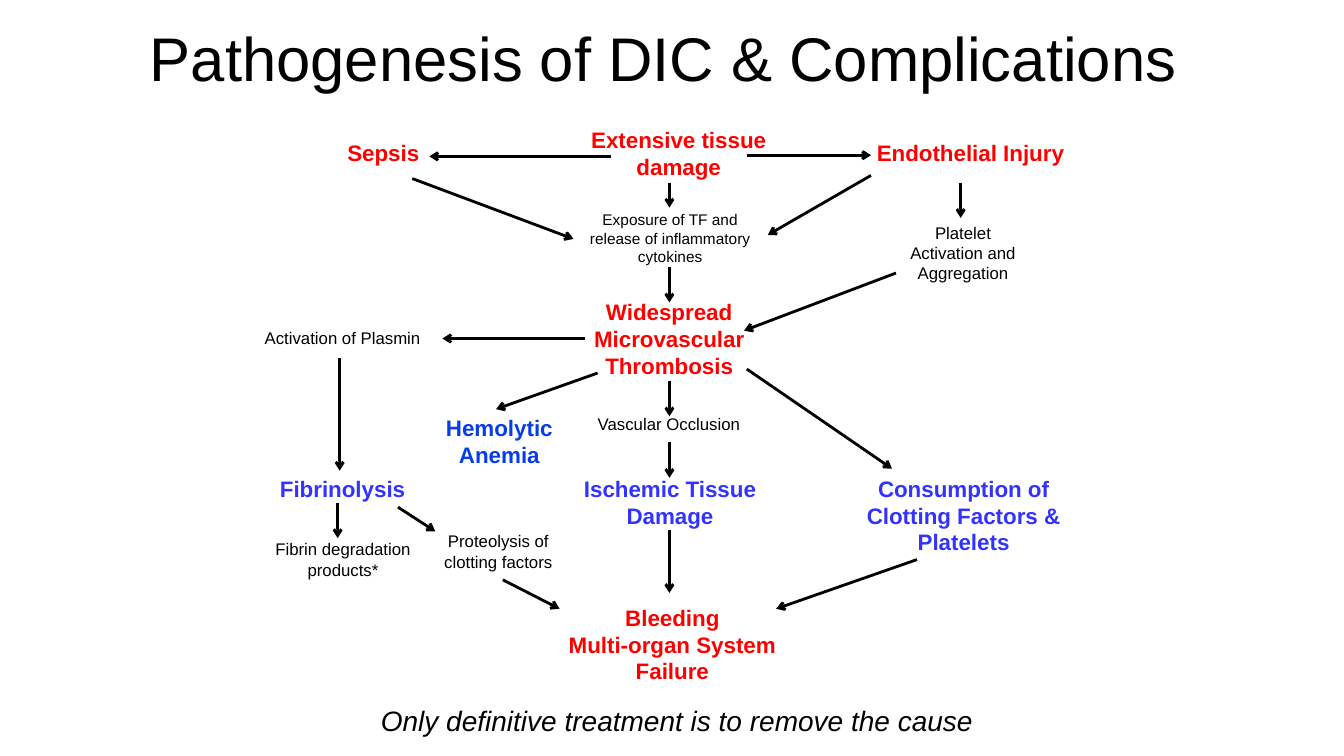
import pptx
import pptx.dml.color
import pptx.enum.shapes
import pptx.enum.text
import pptx.oxml.ns
import pptx.util
from lxml import etree
from pptx.util import Cm

BLACK = pptx.dml.color.RGBColor(0x00, 0x00, 0x00)
RED = pptx.dml.color.RGBColor(0xFF, 0x00, 0x00)
VIOLET = pptx.dml.color.RGBColor(0x33, 0x33, 0xFF)
BLUE = pptx.dml.color.RGBColor(0x06, 0x3D, 0xE8)

CENTRAL_X = 16.87

# Text, (left, top, width, height) in cm, colour
MAJOR_EVENTS = [
    ("Sepsis", (7.77, 3.38, 3.78, 0.94), RED),
    ("Extensive tissue damage", (13.74, 3.05, 6.73, 1.63), RED),
    ("Endothelial Injury", (21.08, 3.38, 6.76, 0.94), RED),
    ("Widespread Microvascular Thrombosis", (13.92, 7.39, 5.89, 2.31), RED),
    ("Hemolytic Anemia", (10.49, 10.31, 4.19, 1.63), BLUE),
    ("Fibrinolysis", (5.69, 11.84, 5.89, 0.94), VIOLET),
    ("Ischemic Tissue Damage", (13.94, 11.84, 5.89, 1.63), VIOLET),
    ("Consumption of Clotting Factors & Platelets", (21.34, 11.84, 5.89, 2.31), VIOLET),
    ("Bleeding\nMulti-organ System Failure", (13.34, 15.09, 7.21, 2.31), RED),
]

# Text, (left, top, width, height) in cm, size in points
MECHANISMS = [
    ("Exposure of TF and release of inflammatory cytokines", (14.45, 5.18, 4.88, 1.68), 11),
    ("Platelet Activation and Aggregation", (22.38, 5.49, 3.78, 1.8), 12),
    ("Activation of Plasmin", (6.12, 8.13, 5.03, 0.76), 12),
    ("Vascular Occlusion", (14.17, 10.31, 5.38, 0.76), 12),
    ("Fibrin degradation products*", (6.32, 13.46, 4.65, 1.27), 12),
    ("Proteolysis of clotting factors", (10.67, 13.26, 3.78, 1.3), 12),
]

# Start x, start y, end x, end y in cm
SIDE_ARROWS = [
    (15.39, 3.94, 10.82, 3.94),   # tissue damage to sepsis
    (18.82, 3.91, 21.95, 3.91),   # tissue damage to endothelial injury
    (10.39, 4.5, 14.45, 6.02),    # sepsis to cytokines
    (21.95, 4.42, 19.35, 5.92),   # endothelial injury to cytokines
    (24.21, 4.6, 24.21, 5.49),    # endothelial injury to platelets
    (22.58, 6.88, 18.75, 8.33),   # platelets to thrombosis
    (14.73, 8.53, 11.15, 8.53),   # thrombosis to plasmin
    (15.06, 9.4, 12.5, 10.31),    # thrombosis to anemia
    (18.82, 9.3, 22.48, 11.81),   # thrombosis to consumption
    (8.56, 9.02, 8.56, 11.86),    # plasmin to fibrinolysis
    (8.51, 12.67, 8.51, 13.56),   # fibrinolysis to degradation products
    (10.03, 12.78, 10.97, 13.39), # fibrinolysis to proteolysis
    (12.67, 14.61, 14.1, 15.34),  # proteolysis to bleeding
    (23.11, 14.1, 19.56, 15.34),  # consumption to bleeding
]

# Start y and end y in cm, down the central column
CENTRAL_ARROWS = [(4.6, 5.23), (6.73, 7.62), (9.6, 10.49), (11.15, 12.04), (13.36, 14.94)]


def add_text(slide, text, box, size, color=BLACK, bold=False, italic=False,
             anchor=pptx.enum.text.MSO_ANCHOR.TOP, line_spacing=1.0):
    """Add centred text; each newline starts a paragraph."""
    frame = slide.shapes.add_textbox(*map(Cm, box)).text_frame
    frame.word_wrap = True
    frame.vertical_anchor = anchor
    frame.text = text
    for paragraph in frame.paragraphs:
        paragraph.alignment = pptx.enum.text.PP_ALIGN.CENTER
        paragraph.line_spacing = line_spacing
        for run in paragraph.runs:
            run.font.name = "Arial"
            run.font.size = pptx.util.Pt(size)
            run.font.bold = bold
            run.font.italic = italic
            run.font.color.rgb = color


def add_arrow(slide, *ends):
    arrow = slide.shapes.add_connector(
        pptx.enum.shapes.MSO_CONNECTOR.STRAIGHT, *map(Cm, ends))
    arrow.line.color.rgb = BLACK
    arrow.line.width = pptx.util.Pt(2)
    qn = pptx.oxml.ns.qn
    properties = arrow._element.spPr
    etree.SubElement(properties.find(qn("a:ln")), qn("a:tailEnd"), type="arrow")
    etree.SubElement(properties, qn("a:effectLst"))


def main():
    presentation = pptx.Presentation()
    presentation.slide_width = Cm(33.87)
    presentation.slide_height = Cm(19.05)
    slide = presentation.slides.add_slide(presentation.slide_layouts[6])

    add_text(slide, "Pathogenesis of DIC & Complications", (2.44, 0.03, 28.58, 3.02), 44,
             anchor=pptx.enum.text.MSO_ANCHOR.MIDDLE, line_spacing=0.9)
    for text, box, color in MAJOR_EVENTS:
        add_text(slide, text, box, 16, color=color, bold=True)
    for text, box, size in MECHANISMS:
        add_text(slide, text, box, size)
    for ends in SIDE_ARROWS:
        add_arrow(slide, *ends)
    for start, end in CENTRAL_ARROWS:
        add_arrow(slide, CENTRAL_X, start, CENTRAL_X, end)
    add_text(slide, "Only definitive treatment is to remove the cause",
             (6.12, 17.7, 21.89, 1.24), 20, italic=True, line_spacing=0.9)

    presentation.save("out.pptx")


if __name__ == "__main__":
    main()
